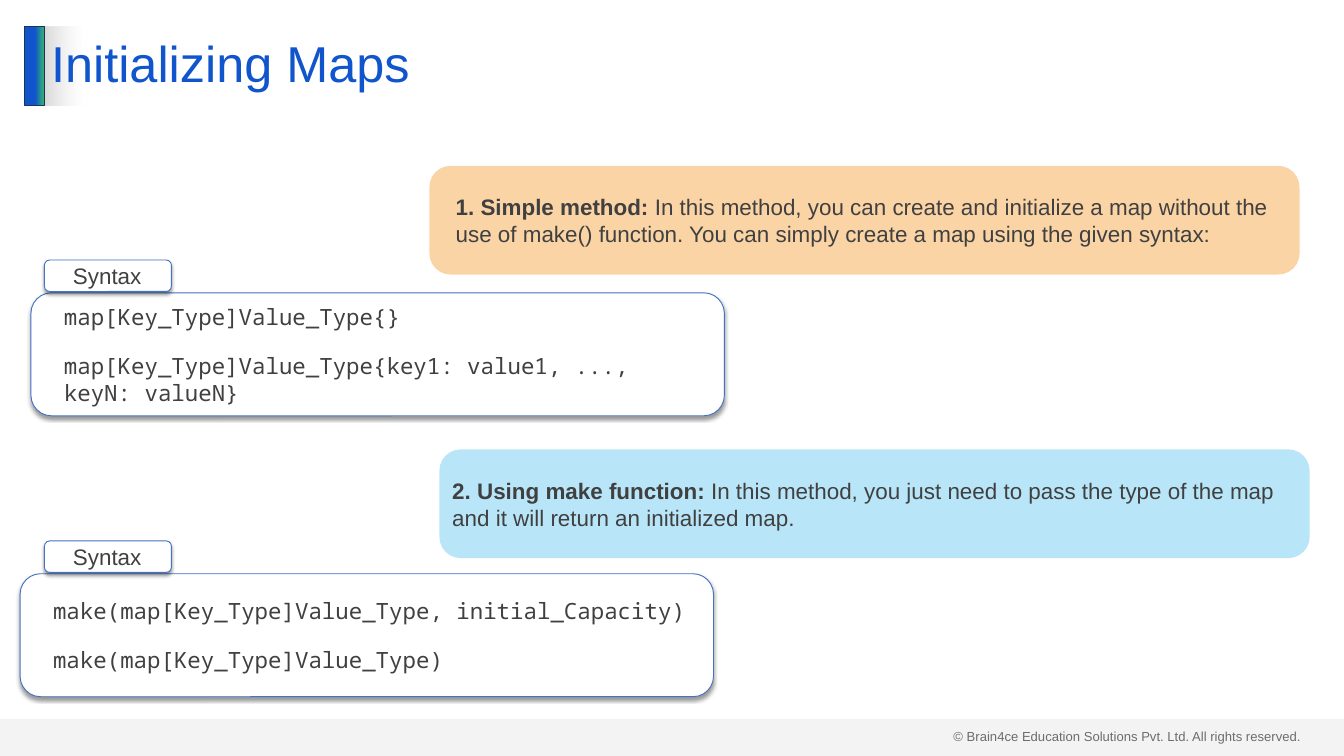
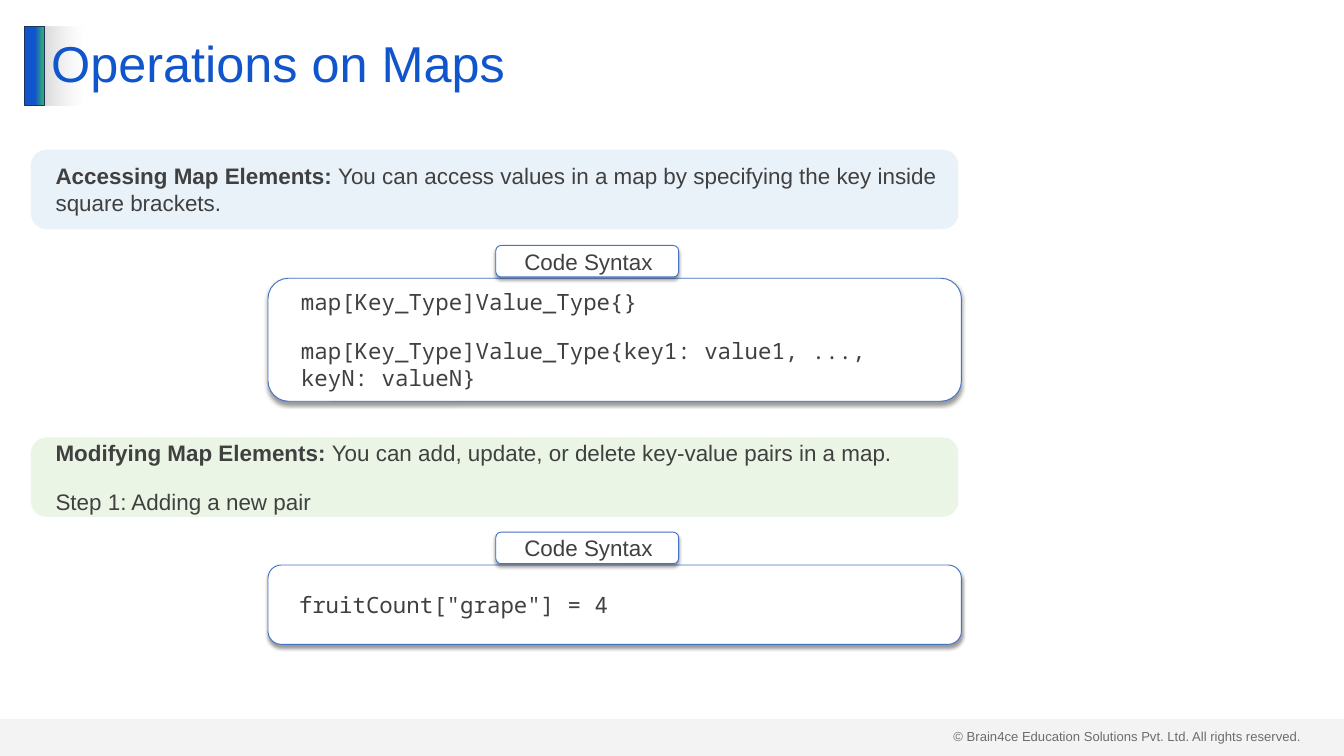
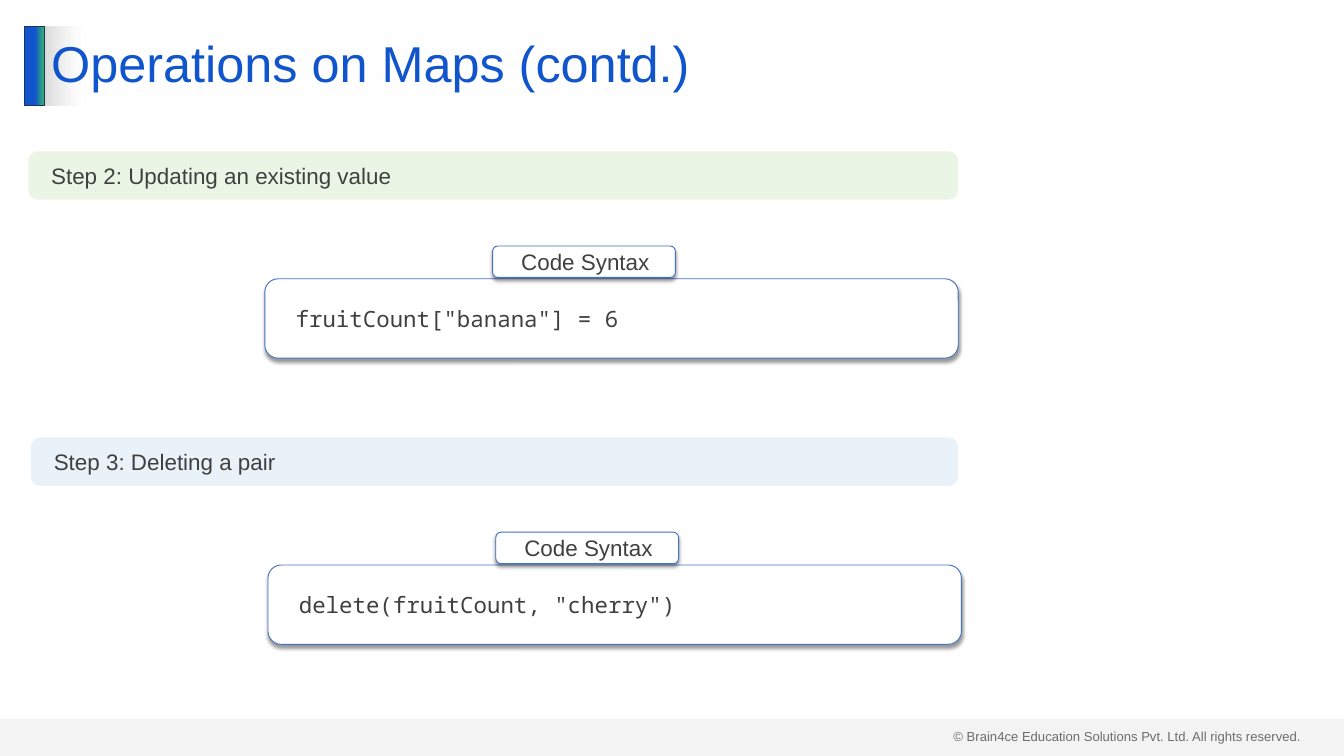
from lxml.etree import SubElement
from pptx import Presentation
from pptx.dml.color import RGBColor
from pptx.enum.shapes import MSO_SHAPE
from pptx.enum.text import MSO_ANCHOR, MSO_AUTO_SIZE, PP_ALIGN
from pptx.oxml.ns import qn
from pptx.util import Cm, Pt

BLUE = RGBColor(0x11, 0x55, 0xCC)
GREEN = RGBColor(0x2E, 0xA8, 0x7D)
NAVY = RGBColor(0x1E, 0x32, 0x56)
OUTLINE = RGBColor(0x44, 0x72, 0xC4)
GREY = RGBColor(0xD9, 0xD9, 0xD9)
TEXT = RGBColor(0x40, 0x40, 0x40)
WHITE = RGBColor(0xFF, 0xFF, 0xFF)
ORANGE = RGBColor(0xFA, 0xBE, 0x79)
SKY = RGBColor(0x94, 0xDA, 0xF5)
PALE_BLUE = RGBColor(0xDE, 0xEB, 0xF7)
PALE_GREEN = RGBColor(0xE2, 0xF0, 0xD9)

SANS = "Arial"
MONO = "Noto Sans Mono"
COPYRIGHT = "© Brain4ce Education Solutions Pvt. Ltd. All rights reserved."
MAP_LITERALS = ["map[Key_Type]Value_Type{}",
                "map[Key_Type]Value_Type{key1: value1, ..., keyN: valueN}"]

SLIDE_WIDTH, SLIDE_HEIGHT = 50.8, 28.58
HEADER_TOP, HEADER_HEIGHT = 0.99, 3
CODE_WIDTH = 26.21
TAB_HEIGHT, TAB_RISE = 1.19, 1.24
TEXT_INDENT = 0.51


def set_opacity(shape, percent):
    """Apply opacity to the last colour of the shape's fill."""
    colour = list(shape._element.spPr.iter(qn("a:srgbClr")))[-1]
    SubElement(colour, qn("a:alpha"), val=str(percent * 1000))


def fill_gradient(shape, *stops):
    """Fill from left to right with two (position, colour) stops."""
    shape.fill.gradient()
    shape.fill.gradient_angle = 0
    for stop, (position, colour) in zip(shape.fill.gradient_stops, stops):
        stop.position = position
        stop.color.rgb = colour


def add_soft_shadow(shape):
    effects = shape._element.spPr.find(qn("a:effectLst"))
    shadow = SubElement(effects, qn("a:outerShdw"), blurRad=str(Pt(4)),
                        dist=str(Pt(3)), dir="5400000", algn="t", rotWithShape="0")
    black = SubElement(shadow, qn("a:srgbClr"), val="000000")
    SubElement(black, qn("a:alpha"), val="40000")


def add_block(slide, kind, left, top, width, height, colour=None, outline=None):
    block = slide.shapes.add_shape(kind, Cm(left), Cm(top), Cm(width), Cm(height))
    block.shadow.inherit = False
    if colour is not None:
        block.fill.solid()
        block.fill.fore_color.rgb = colour
    if outline is None:
        block.line.fill.background()
    else:
        block.line.color.rgb = outline
        block.line.width = Pt(1)
    return block


def style_runs(paragraph, size, font, colour):
    for run in paragraph.runs:
        run.font.size = Pt(size)
        run.font.name = font
        run.font.color.rgb = colour


def write_lines(shape, lines, font=SANS, lead="", indent=TEXT_INDENT):
    """Write one paragraph a line, the first after an optional bold lead."""
    frame = shape.text_frame
    frame.word_wrap = True
    frame.vertical_anchor = MSO_ANCHOR.MIDDLE
    frame.text = "\n".join(lines)
    if lead:
        first = frame.paragraphs[0]
        first.text = lead
        first.runs[0].font.bold = True
        first.add_run().text = lines[0]
    for number, paragraph in enumerate(frame.paragraphs):
        paragraph.alignment = PP_ALIGN.LEFT
        paragraph._p.get_or_add_pPr().set("marL", str(Cm(indent)))
        if number:
            paragraph.space_before = Pt(24)
        style_runs(paragraph, 24, font, TEXT)


def add_callout(slide, left, top, width, height, colour, lines, lead="",
                indent=TEXT_INDENT):
    callout = add_block(slide, MSO_SHAPE.ROUNDED_RECTANGLE,
                        left, top, width, height, colour)
    callout.adjustments[0] = 0.195
    set_opacity(callout, 66)
    write_lines(callout, lines, lead=lead, indent=indent)


def add_outlined_box(slide, left, top, width, height, lines, font):
    box = add_block(slide, MSO_SHAPE.ROUNDED_RECTANGLE,
                    left, top, width, height, WHITE, OUTLINE)
    add_soft_shadow(box)
    frame = box.text_frame
    frame.margin_left = frame.margin_right = Cm(0.51)
    frame.margin_top = frame.margin_bottom = Cm(0.25)
    write_lines(box, lines, font)


def add_code(slide, left, top, height, lines, label="Code Syntax",
             tab_offset=8.61, tab_width=6.91):
    """Add a code box with its label tab on the upper edge."""
    add_outlined_box(slide, left, top, CODE_WIDTH, height, lines, MONO)
    add_outlined_box(slide, left + tab_offset, top - TAB_RISE, tab_width,
                     TAB_HEIGHT, [label], SANS)


def add_footer(slide):
    notice = slide.shapes.add_textbox(Cm(35.79), Cm(27.43), Cm(13.74), Cm(0.86))
    notice.text_frame.word_wrap = True
    notice.text_frame.text = COPYRIGHT
    style_runs(notice.text_frame.paragraphs[0], 14, SANS, TEXT)
    band = add_block(slide, MSO_SHAPE.RECTANGLE, 0, 27.18, SLIDE_WIDTH, 1.4, GREY)
    set_opacity(band, 29)


def add_header(slide, heading):
    accent = add_block(slide, MSO_SHAPE.RECTANGLE, 0.94, HEADER_TOP,
                       0.76, HEADER_HEIGHT, outline=NAVY)
    fill_gradient(accent, (0.51, BLUE), (0.9, GREEN))

    title = slide.shapes.title
    title.left, title.top = Cm(1.68), Cm(HEADER_TOP)
    title.width, title.height = Cm(47.42), Cm(HEADER_HEIGHT)
    fill_gradient(title, (0, GREY), (0.03, WHITE))
    set_opacity(title, 50)
    frame = title.text_frame
    frame.text = heading
    frame.auto_size = MSO_AUTO_SIZE.NONE
    frame.vertical_anchor = MSO_ANCHOR.MIDDLE
    paragraph = frame.paragraphs[0]
    paragraph.alignment = PP_ALIGN.LEFT
    paragraph.line_spacing = 0.9
    style_runs(paragraph, 54, SANS, BLUE)


def add_content_slide(deck, heading):
    slide = deck.slides.add_slide(deck.slide_layouts[5])
    add_footer(slide)
    add_header(slide, heading)
    return slide


def build_initializing(deck):
    slide = add_content_slide(deck, "Initializing Maps")
    add_callout(slide, 16.23, 6.27, 32.89, 4.11, ORANGE,
                ["In this method, you can create and initialize a map without the use "
                 "of make() function. You can simply create a map using the given syntax:"],
                lead="1. Simple method: ")
    add_code(slide, 1.17, 11.07, 4.65, MAP_LITERALS, "Syntax", 0.51, 4.8)
    add_callout(slide, 16.61, 16.99, 32.89, 4.11, SKY,
                [" In this method, you just need to pass the type of the map "
                 "and it will return an initialized map."],
                lead="2. Using make function:", indent=0)
    add_code(slide, 0.76, 21.69, 4.65,
             ["make(map[Key_Type]Value_Type, initial_Capacity)",
              "make(map[Key_Type]Value_Type)"], "Syntax", 0.92, 4.8)


def build_operations(deck):
    slide = add_content_slide(deck, "Operations on Maps")
    add_callout(slide, 1.17, 5.66, 35.05, 3, PALE_BLUE,
                ["You can access values in a map by specifying the key "
                 "inside square brackets."],
                lead="Accessing Map Elements: ")
    add_code(slide, 10.13, 10.52, 4.65, MAP_LITERALS)
    add_callout(slide, 1.17, 16.54, 35.05, 3, PALE_GREEN,
                ["You can add, update, or delete key-value pairs in a map.",
                 "Step 1: Adding a new pair"],
                lead="Modifying Map Elements: ")
    add_code(slide, 10.13, 21.36, 3, ['fruitCount["grape"] = 4'])


def build_operations_continued(deck):
    slide = add_content_slide(deck, "Operations on Maps (contd.)")
    add_callout(slide, 1.07, 5.72, 35.15, 1.83, PALE_GREEN,
                ["Step 2: Updating an existing value"])
    add_code(slide, 10.01, 10.54, 3, ['fruitCount["banana"] = 6'])
    add_callout(slide, 1.17, 16.54, 35.05, 1.83, PALE_BLUE,
                ["Step 3: Deleting a pair"])
    add_code(slide, 10.13, 21.36, 3, ['delete(fruitCount, "cherry")'])


def main():
    deck = Presentation()
    deck.slide_width, deck.slide_height = Cm(SLIDE_WIDTH), Cm(SLIDE_HEIGHT)
    build_initializing(deck)
    build_operations(deck)
    build_operations_continued(deck)
    deck.save("out.pptx")


if __name__ == "__main__":
    main()
